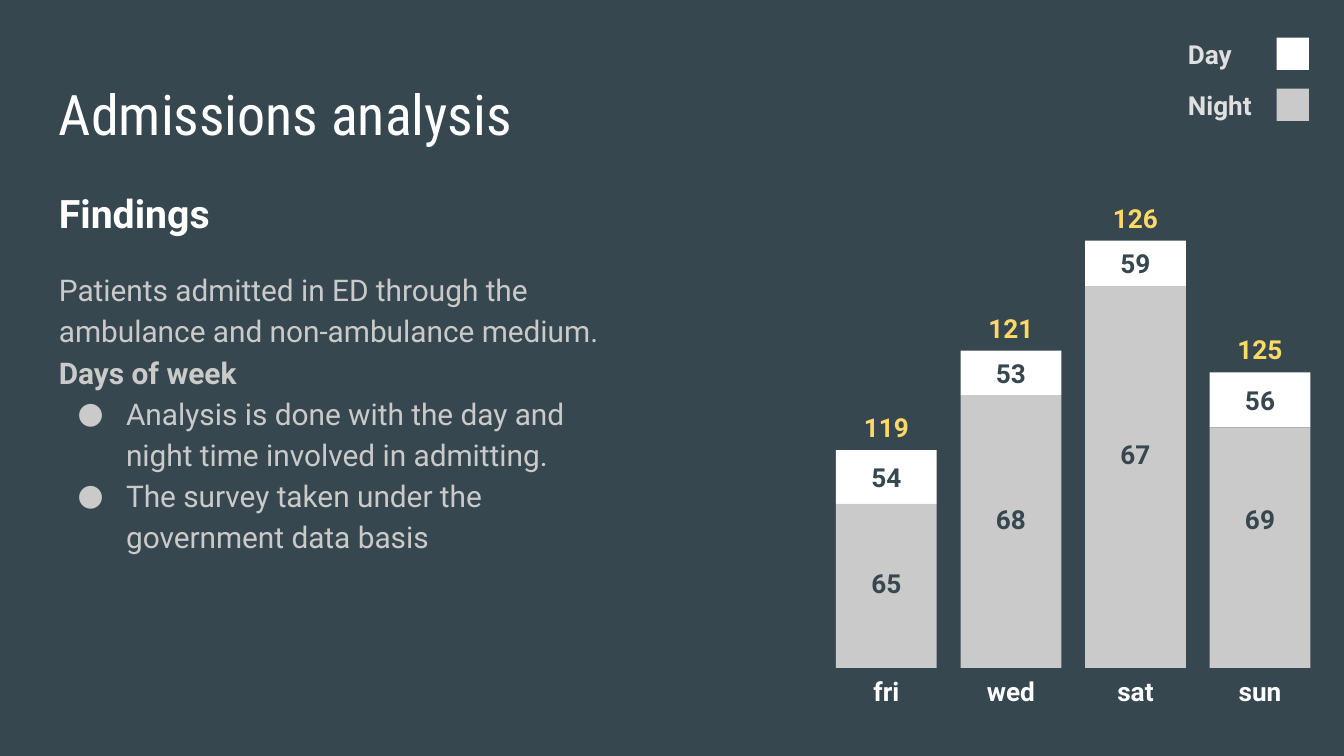
from lxml.etree import SubElement
from pptx import Presentation
from pptx.dml.color import RGBColor
from pptx.enum.shapes import MSO_SHAPE as Shape
from pptx.enum.text import MSO_ANCHOR as Anchor, PP_ALIGN as Align
from pptx.oxml.ns import qn
from pptx.util import Inches, Pt

COLORS = {
    "slate": "37474F",
    "day": "FFFFFF",
    "night": "CACACA",
    "legend": "E0E0E0",
    "total": "FFD966",
}
INSET = 0.1
LABEL_HEIGHT = 0.34


def rgb(name):
    return RGBColor.from_string(COLORS[name])


def add_frame(slide, box, inset_y=INSET, anchor=Anchor.TOP):
    frame = slide.shapes.add_textbox(*map(Inches, box)).text_frame
    frame.word_wrap = True
    frame.vertical_anchor = anchor
    frame.margin_left = frame.margin_right = Inches(INSET)
    frame.margin_top = frame.margin_bottom = Inches(inset_y)
    return frame


def add_run(paragraph, text, size, color, bold=False, font="Roboto"):
    run = paragraph.add_run()
    run.text = text
    run.font.name = font
    run.font.size = Pt(size)
    run.font.bold = bold
    run.font.color.rgb = rgb(color)


def add_label(slide, box, text, color, align=Align.CENTER):
    paragraph = add_frame(slide, box, 0, Anchor.MIDDLE).paragraphs[0]
    paragraph.alignment = align
    add_run(paragraph, text, 14, color, True)


def add_block(slide, box, color):
    block = slide.shapes.add_shape(Shape.RECTANGLE, *map(Inches, box))
    block.shadow.inherit = False
    block.fill.solid()
    block.fill.fore_color.rgb = rgb(color)
    block.line.fill.background()


def set_bullet(paragraph):
    properties = paragraph._p.get_or_add_pPr()
    properties.set("marL", str(Inches(0.5)))
    properties.set("indent", str(Inches(-0.36)))
    bullet_color = SubElement(properties, qn("a:buClr"))
    SubElement(bullet_color, qn("a:srgbClr")).set("val", COLORS["night"])
    SubElement(properties, qn("a:buFont")).set("typeface", "Roboto")
    SubElement(properties, qn("a:buChar")).set("char", "●")


def add_title(slide, box):
    paragraph = add_frame(slide, box).paragraphs[0]
    add_run(paragraph, "Admissions analysis", 30, "day", font="Roboto Condensed")


def add_findings(slide, box):
    frame = add_frame(slide, box)
    heading = frame.paragraphs[0]
    heading.line_spacing = 1.15
    add_run(heading, "Findings", 21, "day", True)
    findings = [
        ("Patients admitted in ED through the ambulance and non-ambulance medium.", 16, False, False),
        ("Days of week", 0, True, False),
        ("Analysis is done with the day and night time involved in admitting.", 0, False, True),
        ("The survey taken under the government data basis", 0, False, True),
    ]
    for text, space_before, bold, bulleted in findings:
        paragraph = frame.add_paragraph()
        paragraph.line_spacing = 1.15
        paragraph.space_before = Pt(space_before)
        if bulleted:
            set_bullet(paragraph)
        add_run(paragraph, text, 16, "night", bold)


def add_legend(slide, box):
    left, top, width, height = box
    swatch = 0.24
    pitch = height - swatch
    label_width = width - swatch
    for row, (name, color) in enumerate([("Day", "day"), ("Night", "night")]):
        y = top + row * pitch
        add_label(slide, (left, y, label_width, swatch), name, "legend", Align.LEFT)
        add_block(slide, (left + label_width, y, swatch, swatch), color)


def add_bars(slide, box, admissions):
    left, top, width, height = box
    bar_width = 0.75
    pitch = (width - bar_width) / (len(admissions) - 1)
    base = top + height
    for column, (weekday, day, night, day_height, night_height, lift) in enumerate(admissions):
        x = left + column * pitch
        night_top = base - night_height
        day_top = night_top - day_height
        add_block(slide, (x, day_top, bar_width, day_height), "day")
        add_block(slide, (x, night_top, bar_width, night_height), "night")
        labels = [
            (weekday, base, "day"),
            (str(day + night), day_top - LABEL_HEIGHT, "total"),
            (str(day), day_top + (day_height - LABEL_HEIGHT) / 2, "slate"),
            (str(night), night_top + (night_height - LABEL_HEIGHT) / 2 - lift, "slate"),
        ]
        for text, y, color in labels:
            add_label(slide, (x, y, bar_width, LABEL_HEIGHT), text, color)


def main():
    deck = Presentation()
    deck.slide_width = Inches(10)
    deck.slide_height = deck.slide_width * 9 // 16
    slide = deck.slides.add_slide(deck.slide_layouts[6])
    slide.background.fill.solid()
    slide.background.fill.fore_color.rgb = rgb("slate")

    add_title(slide, (0.34, 0.49, 9.32, 0.63))
    add_findings(slide, (0.34, 1.26, 4.37, 3.74))
    add_legend(slide, (8.74, 0.28, 1, 0.62))
    admissions = [
        ("fri", 54, 65, 0.4, 1.22, 0.02),
        ("wed", 53, 68, 0.33, 2.03, 0.09),
        ("sat", 59, 67, 0.34, 2.84, 0.17),
        ("sun", 56, 69, 0.41, 1.79, 0.21),
    ]
    add_bars(slide, (6.22, 1.79, 3.53, 3.18), admissions)
    deck.save("out.pptx")


if __name__ == "__main__":
    main()
